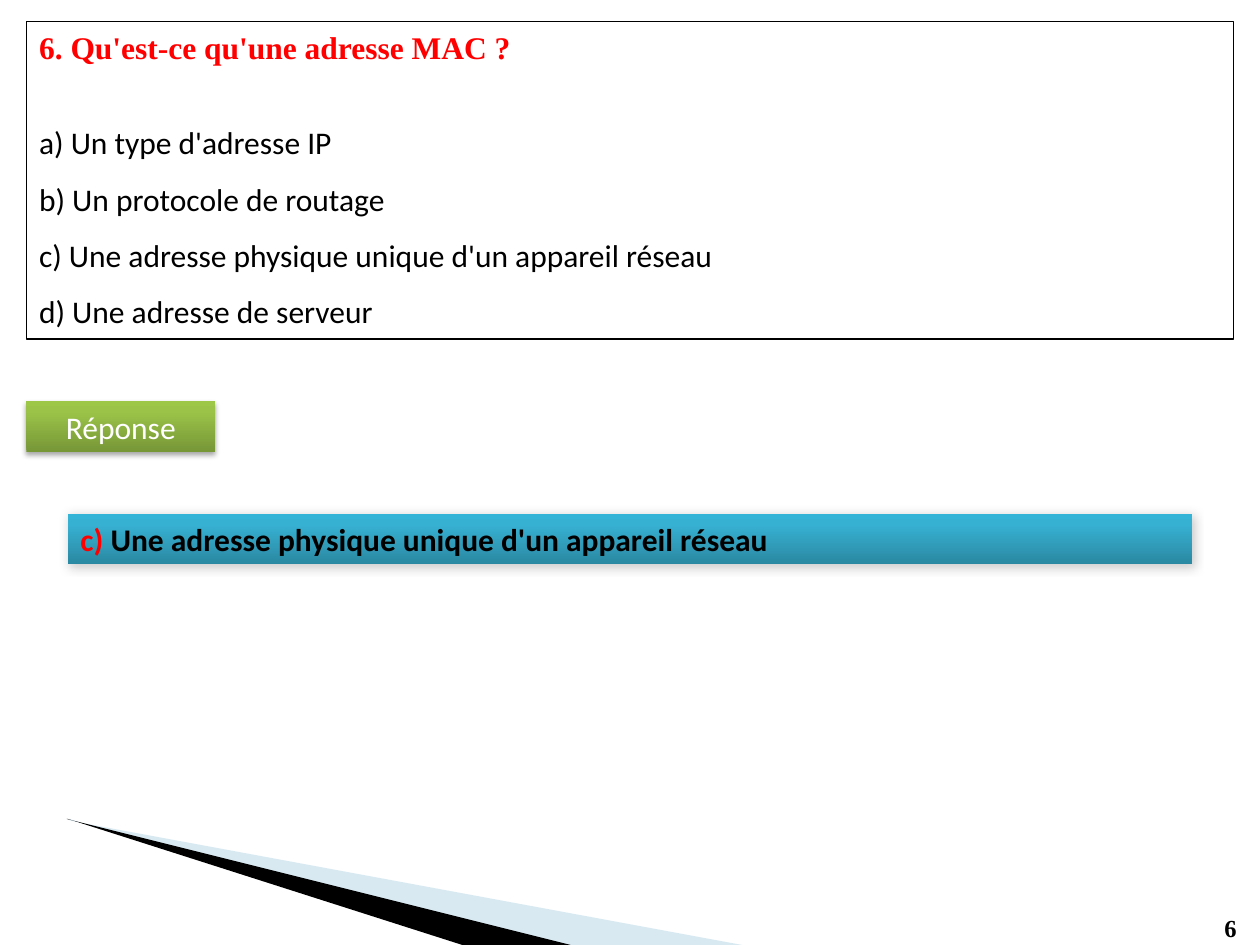
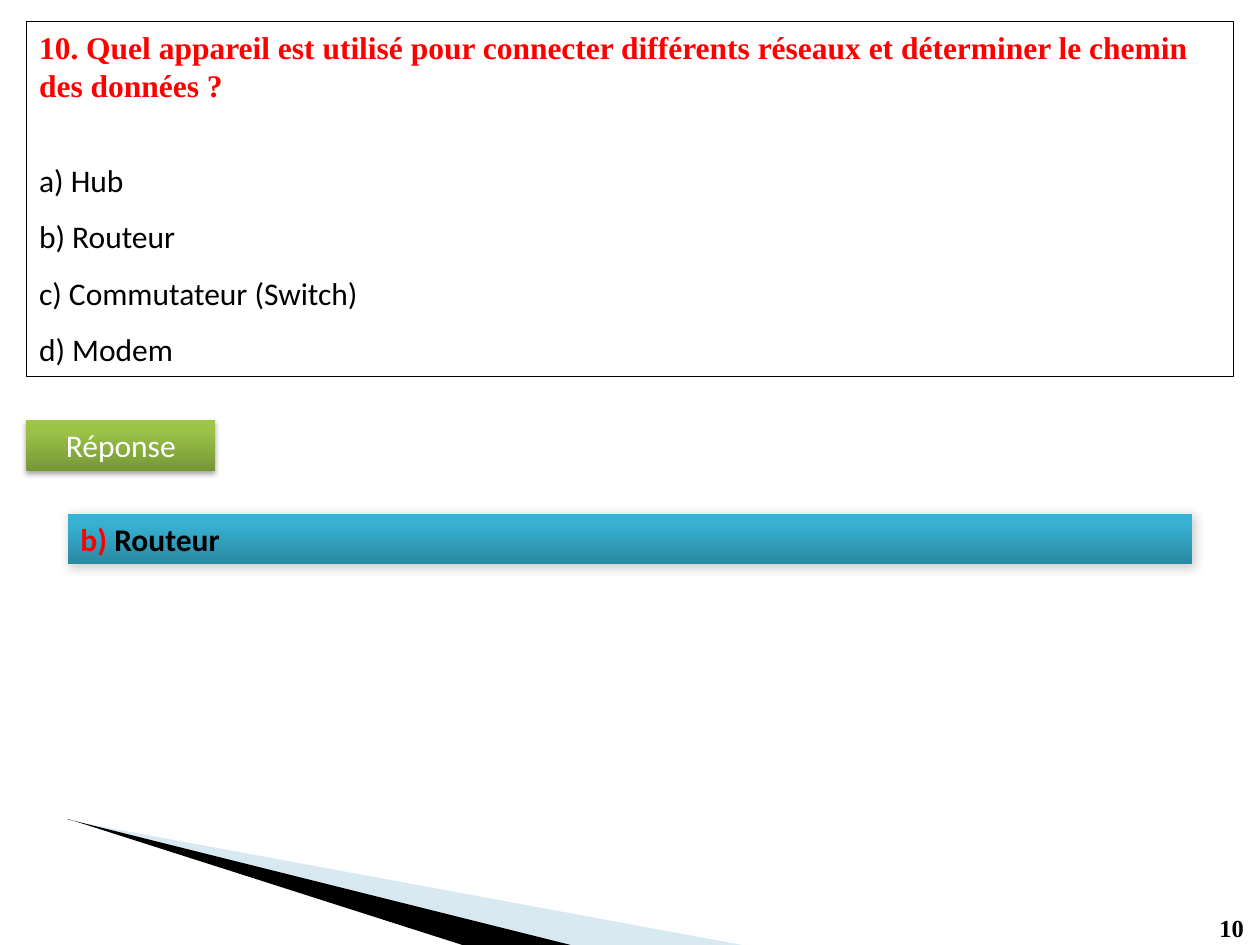
from lxml import etree
from pptx import Presentation
from pptx.dml.color import RGBColor
from pptx.enum import shapes, text
from pptx.oxml import ns
from pptx.util import Inches, Pt

QUESTIONS = [
    {
        "number": 6,
        "question": "Qu'est-ce qu'une adresse MAC ?",
        "question_lines": 1,
        "options": [
            "Un type d'adresse IP",
            "Un protocole de routage",
            "Une adresse physique unique d'un appareil réseau",
            "Une adresse de serveur",
        ],
        "answer": "c",
    },
    {
        "number": 10,
        "question": "Quel appareil est utilisé pour connecter différents réseaux "
                    "et déterminer le chemin des données ?",
        "question_lines": 2,
        "options": ["Hub", "Routeur", "Commutateur (Switch)", "Modem"],
        "answer": "b",
    },
]
LETTERS = "abcd"

BLACK, WHITE, RED, PALE_BLUE = "000000", "FFFFFF", "FF0000", "9FCADC"
SERIF, SANS = "Times New Roman", "Calibri"

# Gradient stops run from bottom to top; shadows are alpha %, blur, distance, angle.
GREEN_STYLE = {"stops": [(0, "779737"), (80, "9BC348"), (100, "9DC746")],
               "shadow": (35, 3.1, 1.8, 90)}
BLUE_STYLE = {"stops": [(0, "2A88A2"), (80, "37B1D2"), (100, "34B4D6")],
              "shadow": (20, 6, 1, 45)}

PALE_WEDGE = [
    [(0.64, 6.53), (4.51, 7.5), (5.89, 7.5)],
    [(0.55, 6.5), (0.55, 6.51), (0.64, 6.53)],
]
BLACK_WEDGE = [[(0.53, 6.5), (0.54, 6.5), (3.67, 7.5), (4.53, 7.5)]]

FRAME_LEFT, FRAME_TOP, FRAME_WIDTH = 0.21, 0.17, 9.58
QUESTION_LINE = 0.3
OPTIONS_GAP = 0.51
OPTIONS_HEIGHT = 1.71
BAR_HEIGHT = 0.4
LABEL_WIDTH = 1.5
ANSWER_LEFT, ANSWER_TOP, ANSWER_WIDTH = 0.54, 4.08, 8.92
NUMBER_RIGHT, NUMBER_TOP = 9.98, 7.2


def rgb(color):
    return RGBColor.from_string(color)


def add_xml(parent, tag, **attributes):
    values = {name: str(value) for name, value in attributes.items()}
    return etree.SubElement(parent, ns.qn(tag), values)


def place(shape, left, top, width, height):
    shape.left, shape.top = Inches(left), Inches(top)
    shape.width, shape.height = Inches(width), Inches(height)


def add_run(paragraph, words, color, font=SANS, size=18, bold=False):
    run = paragraph.add_run()
    run.text = words
    run.font.name, run.font.size, run.font.bold = font, Pt(size), bold
    run.font.color.rgb = rgb(color)


def add_rectangle(slide, left, top, width, height):
    shape = slide.shapes.add_shape(
        shapes.MSO_SHAPE.RECTANGLE,
        Inches(left), Inches(top), Inches(width), Inches(height))
    shape.shadow.inherit = False
    return shape


def add_bar(slide, left, top, width, style, alignment):
    """Add a gradient bar with a shadow and return its empty paragraph."""
    bar = add_rectangle(slide, left, top, width, BAR_HEIGHT)
    bar.line.fill.background()
    bar.fill.gradient()
    bar.fill.gradient_angle = 90
    properties = bar.element.spPr
    stops = properties.find(".//" + ns.qn("a:gsLst"))
    stops.clear()
    for position, color in style["stops"]:
        stop = add_xml(stops, "a:gs", pos=position * 1000)
        add_xml(stop, "a:srgbClr", val=color)

    alpha, blur, distance, angle = style["shadow"]
    shadow = add_xml(properties.find(ns.qn("a:effectLst")), "a:outerShdw",
                     blurRad=int(Pt(blur)), dist=int(Pt(distance)),
                     dir=angle * 60000, rotWithShape=0)
    shadow_color = add_xml(shadow, "a:srgbClr", val=BLACK)
    add_xml(shadow_color, "a:alpha", val=alpha * 1000)

    paragraph = bar.text_frame.paragraphs[0]
    paragraph.alignment = alignment
    return paragraph


def add_wedge(slide, layout, contours, color, opacity=100):
    """Draw a corner wedge and move it to the layout that all slides use."""
    points = [[(Inches(x), Inches(y)) for x, y in contour] for contour in contours]
    builder = slide.shapes.build_freeform(*points[0][0])
    for index, contour in enumerate(points):
        if index:
            builder.move_to(*contour[0])
        builder.add_line_segments(contour[1:], close=True)
    wedge = builder.convert_to_shape()
    wedge.shadow.inherit = False
    wedge.fill.solid()
    wedge.fill.fore_color.rgb = rgb(color)
    wedge.line.fill.background()
    fill_color = wedge.element.spPr.find(ns.qn("a:solidFill"))[0]
    add_xml(fill_color, "a:alpha", val=opacity * 1000)
    layout.shapes.element.append(wedge.element)


def add_question(slide, content):
    """Fill the framed question and return the bottom of its frame."""
    question_height = QUESTION_LINE * content["question_lines"]
    options_offset = OPTIONS_GAP + question_height
    frame_height = options_offset + OPTIONS_HEIGHT

    frame = add_rectangle(slide, FRAME_LEFT, FRAME_TOP, FRAME_WIDTH, frame_height)
    frame.fill.background()
    frame.line.color.rgb = rgb(BLACK)
    frame.line.width = Pt(0.75)

    title, body = slide.shapes.title, slide.placeholders[1]
    place(title, FRAME_LEFT, FRAME_TOP, FRAME_WIDTH, question_height + 0.1)
    place(body, FRAME_LEFT, FRAME_TOP + options_offset, FRAME_WIDTH, OPTIONS_HEIGHT)
    for placeholder in (title, body):
        placeholder.text_frame.auto_size = text.MSO_AUTO_SIZE.NONE
        placeholder.text_frame.vertical_anchor = text.MSO_ANCHOR.TOP
    body.text_frame.margin_top = 0

    heading = title.text_frame.paragraphs[0]
    heading.alignment = text.PP_ALIGN.LEFT
    add_run(heading, f"{content['number']}. {content['question']}", RED, SERIF, bold=True)

    for index, (letter, option) in enumerate(zip(LETTERS, content["options"])):
        frame_text = body.text_frame
        paragraph = frame_text.add_paragraph() if index else frame_text.paragraphs[0]
        paragraph.space_before = Pt(10.5 if index else 0)
        properties = paragraph._p.get_or_add_pPr()
        properties.set("marL", "0")
        properties.set("indent", "0")
        add_xml(properties, "a:buNone")
        add_run(paragraph, f"{letter}) {option}", BLACK)
    return FRAME_TOP + frame_height


def add_answer(slide, content, frame_bottom):
    label_top = (frame_bottom + ANSWER_TOP - BAR_HEIGHT) / 2
    label = add_bar(slide, FRAME_LEFT, label_top, LABEL_WIDTH,
                    GREEN_STYLE, text.PP_ALIGN.CENTER)
    add_run(label, "Réponse", WHITE)

    answer = add_bar(slide, ANSWER_LEFT, ANSWER_TOP, ANSWER_WIDTH,
                     BLUE_STYLE, text.PP_ALIGN.JUSTIFY)
    letter = content["answer"]
    add_run(answer, f"{letter}) ", RED, bold=True)
    add_run(answer, content["options"][LETTERS.index(letter)], BLACK, bold=True)


def add_number(slide, number):
    width = 0.36 if number < 10 else 0.4
    box = slide.shapes.add_textbox(Inches(NUMBER_RIGHT - width), Inches(NUMBER_TOP),
                                   Inches(width), Inches(0.34))
    box.text_frame.word_wrap = False
    add_run(box.text_frame.paragraphs[0], str(number), BLACK, SERIF, 14, True)


def main():
    presentation = Presentation()
    presentation.slide_width, presentation.slide_height = Inches(10), Inches(7.5)
    layout = presentation.slide_layouts[1]
    for index, content in enumerate(QUESTIONS):
        slide = presentation.slides.add_slide(layout)
        if index == 0:
            add_wedge(slide, layout, PALE_WEDGE, PALE_BLUE, 40)
            add_wedge(slide, layout, BLACK_WEDGE, BLACK)
        add_number(slide, content["number"])
        frame_bottom = add_question(slide, content)
        add_answer(slide, content, frame_bottom)
    presentation.save("out.pptx")


if __name__ == "__main__":
    main()
